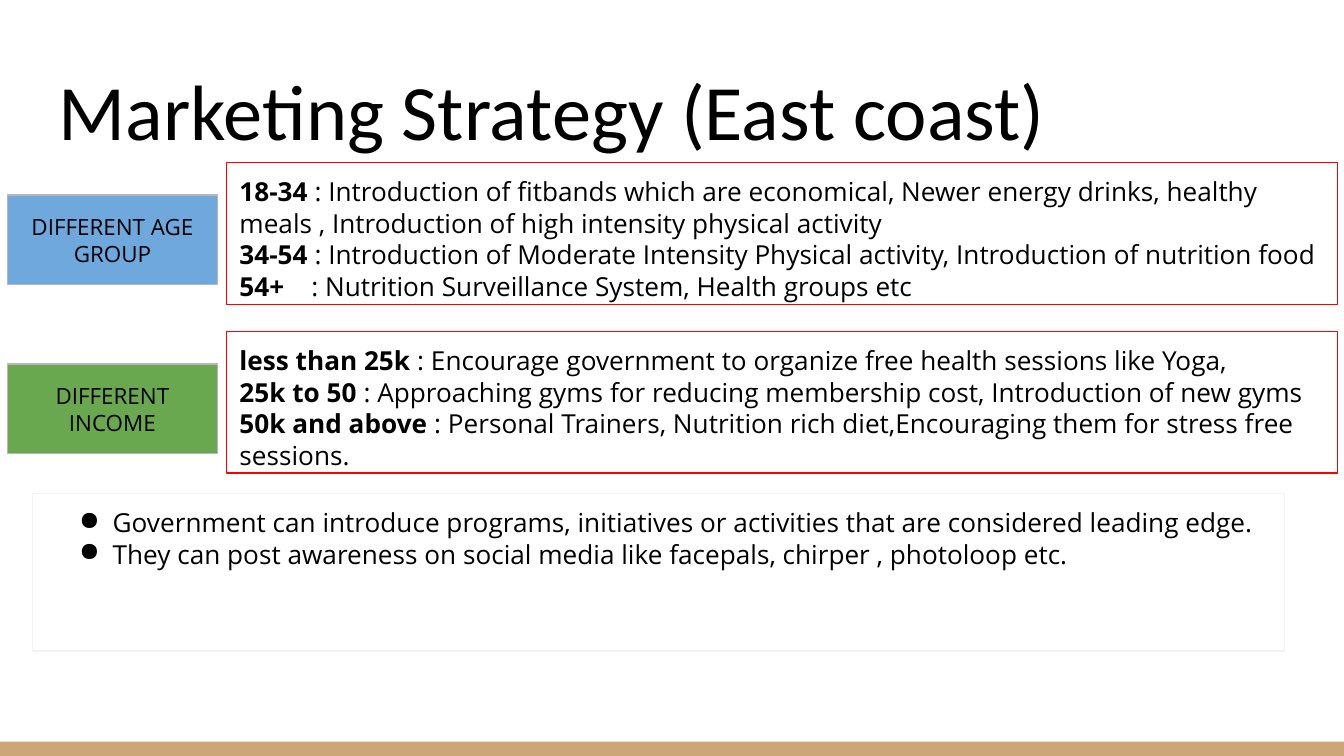
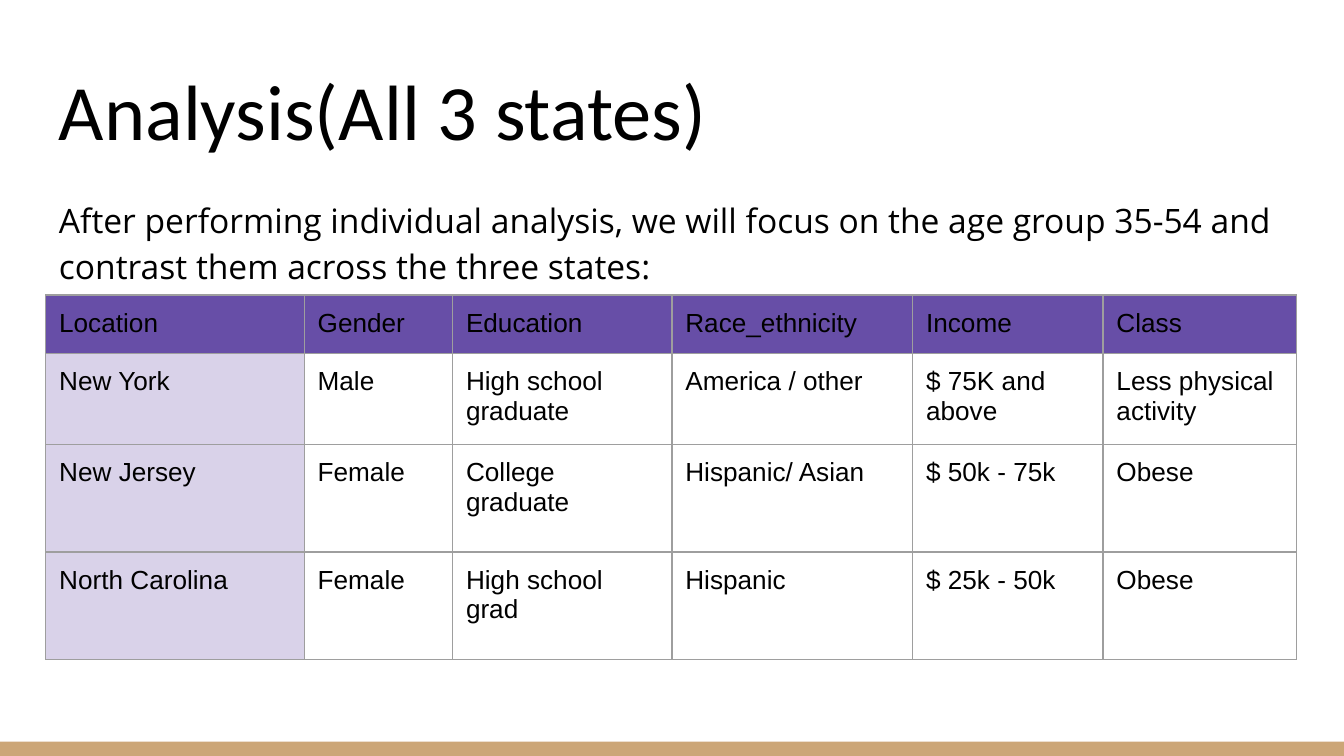
from dataclasses import dataclass

from lxml import etree
from pptx import Presentation
from pptx.dml.color import RGBColor
from pptx.enum import shapes, text
from pptx.oxml import ns
from pptx.util import Pt

STRATEGY_TITLE = "Marketing Strategy (East coast)"
# Label, label fill, then (bold lead, rest) for each line of advice
STRATEGIES = [
    (["DIFFERENT AGE GROUP"], "6FA8DC", [
        ("18-34 ", ": Introduction of fitbands which are economical, Newer energy drinks, "
                   "healthy meals , Introduction of high intensity physical activity"),
        ("34-54", " : Introduction of Moderate Intensity Physical activity, "
                  "Introduction of nutrition food"),
        ("54+\t", ": Nutrition Surveillance System, Health groups etc"),
    ]),
    (["DIFFERENT", "INCOME"], "6AA84F", [
        ("less than 25k", " : Encourage government to organize free health sessions like Yoga,"),
        ("25k to 50 ", ": Approaching gyms for reducing membership cost, "
                       "Introduction of new gyms"),
        ("50k and above", " : Personal Trainers, Nutrition rich diet,"
                          "Encouraging them for stress free sessions."),
    ]),
]
GOVERNMENT_STEPS = [
    "Government can introduce programs, initiatives or activities "
    "that are considered leading edge.",
    "They can post awareness on social media like facepals, chirper , photoloop etc.",
]

ANALYSIS_TITLE = "Analysis(All 3 states)"
ANALYSIS_INTRO = ("After performing individual analysis, we will focus on the age group "
                  "35-54 and contrast them across the three states:")
STATE_ROWS = [
    ("Location", "Gender", "Education", "Race_ethnicity", "Income", "Class"),
    ("New York", "Male", "High school graduate", "America / other", "$ 75K and above",
     "Less physical activity"),
    ("New Jersey", "Female", "College graduate", "Hispanic/ Asian", "$ 50k - 75k", "Obese"),
    ("North Carolina", "Female", "High school grad", "Hispanic", "$ 25k - 50k", "Obese"),
]
COLUMN_WIDTHS = (138.5, 79.5, 117.5, 129, 102, 103.5)
ROW_HEIGHTS = (31.5, 48.75, 57.5, 57.5)


@dataclass(frozen=True)
class Theme:
    ink: str = "000000"
    band: str = "CCA677"
    label_line: str = "B7B7B7"
    advice_line: str = "FF0000"
    steps_line: str = "F3F3F3"
    header: str = "674EA7"
    location: str = "D9D2E9"
    grid: str = "9E9E9E"
    title_font: str = "Calibri"
    body_font: str = "Open Sans"
    table_font: str = "Arial"
    title_size: float = 42
    intro_size: float = 18
    body_size: float = 14
    label_size: float = 12
    line_width: float = 0.75
    inset: float = 7.2


THEME = Theme()
SLIDE_SIZE = (720, 405)
BAND_HEIGHT = 7.75
MARGIN = 24.5
CONTENT_WIDTH = SLIDE_SIZE[0] - 2 * MARGIN
STRATEGY_TOP, STRATEGY_STEP = 87, 90.5
ADVICE_LEFT, ADVICE_WIDTH, ADVICE_HEIGHT = 121.25, 595.5, 76
LABEL_LEFT, LABEL_WIDTH, LABEL_HEIGHT = 4, 112.5, 48
LABEL_DROP = 17.5
COLON_TAB = 38.5


def color(value):
    return RGBColor.from_string(value)


def style_text(paragraphs, size, font=THEME.body_font):
    for para in paragraphs:
        for span in para.runs:
            span.font.size = Pt(size)
            span.font.name = font
            span.font.color.rgb = color(THEME.ink)


def prepare_frame(frame, anchor):
    frame.word_wrap = True
    frame.vertical_anchor = anchor
    for side in ("left", "top", "right", "bottom"):
        setattr(frame, f"margin_{side}", Pt(THEME.inset))


def add_text(slide, place, words, size, font=THEME.body_font, anchor=text.MSO_ANCHOR.TOP):
    box = slide.shapes.add_textbox(*map(Pt, place))
    prepare_frame(box.text_frame, anchor)
    box.text_frame.text = words
    style_text(box.text_frame.paragraphs, size, font)
    return box


def add_box(slide, place, fill=None, line=None, anchor=text.MSO_ANCHOR.TOP):
    box = slide.shapes.add_shape(shapes.MSO_SHAPE.RECTANGLE, *map(Pt, place))
    box.shadow.inherit = False
    if fill:
        box.fill.solid()
        box.fill.fore_color.rgb = color(fill)
    else:
        box.fill.background()
    if line:
        box.line.color.rgb = color(line)
        box.line.width = Pt(THEME.line_width)
    else:
        box.line.fill.background()
    prepare_frame(box.text_frame, anchor)
    return box


def align(paragraphs, alignment):
    for para in paragraphs:
        para.alignment = alignment


def add_tab_stop(para, position):
    tabs = etree.SubElement(para._p.get_or_add_pPr(), ns.qn("a:tabLst"))
    etree.SubElement(tabs, ns.qn("a:tab"), pos=str(Pt(position)), algn="l")


def add_bullet(para):
    props = para._p.get_or_add_pPr()
    props.set("marL", str(Pt(36)))
    props.set("indent", str(Pt(-18)))
    etree.SubElement(props, ns.qn("a:buChar"), char="●")


def add_page(deck, title):
    """Add a slide with the shared white ground, bottom band and title."""
    page = deck.slides.add_slide(deck.slide_layouts[6])
    width, height = SLIDE_SIZE
    add_box(page, (0, height - BAND_HEIGHT, width, BAND_HEIGHT), THEME.band)
    add_text(page, (MARGIN, 25, CONTENT_WIDTH, 65.75), title, THEME.title_size,
             THEME.title_font, text.MSO_ANCHOR.BOTTOM)
    return page


def add_strategy(page, top, label, fill, advice):
    label_box = add_box(page, (LABEL_LEFT, top + LABEL_DROP, LABEL_WIDTH, LABEL_HEIGHT),
                        fill, THEME.label_line, text.MSO_ANCHOR.MIDDLE)
    label_box.text_frame.text = "\n".join(label)
    paragraphs = label_box.text_frame.paragraphs
    style_text(paragraphs, THEME.label_size)
    align(paragraphs, text.PP_ALIGN.CENTER)

    advice_box = add_box(page, (ADVICE_LEFT, top, ADVICE_WIDTH, ADVICE_HEIGHT),
                         line=THEME.advice_line)
    frame = advice_box.text_frame
    frame.text = "\n".join(lead for lead, rest in advice)
    for para, (lead, rest) in zip(frame.paragraphs, advice):
        para.runs[0].font.bold = True
        para.add_run().text = rest
        if "\t" in lead:
            add_tab_stop(para, COLON_TAB)
    style_text(frame.paragraphs, THEME.body_size)
    align(frame.paragraphs, text.PP_ALIGN.LEFT)


def add_steps(page):
    box = add_box(page, (17.25, 264.25, CONTENT_WIDTH, 84.5), line=THEME.steps_line)
    box.text_frame.text = "\n".join(GOVERNMENT_STEPS)
    paragraphs = box.text_frame.paragraphs
    align(paragraphs, text.PP_ALIGN.LEFT)
    for para in paragraphs:
        add_bullet(para)
    style_text(paragraphs, THEME.body_size)


def add_borders(cell):
    props = cell._tc.get_or_add_tcPr()
    for index, side in enumerate(("lnL", "lnR", "lnT", "lnB")):
        line = etree.Element(ns.qn(f"a:{side}"), w=str(Pt(THEME.line_width)))
        fill = etree.SubElement(line, ns.qn("a:solidFill"))
        etree.SubElement(fill, ns.qn("a:srgbClr"), val=THEME.grid)
        props.insert(index, line)


def add_state_table(page):
    place = (MARGIN, 158, sum(COLUMN_WIDTHS), sum(ROW_HEIGHTS))
    table = page.shapes.add_table(len(STATE_ROWS), len(COLUMN_WIDTHS), *map(Pt, place)).table
    table.first_row = table.horz_banding = False
    for column, width in zip(table.columns, COLUMN_WIDTHS):
        column.width = Pt(width)
    for row, height in zip(table.rows, ROW_HEIGHTS):
        row.height = Pt(height)
    for r, values in enumerate(STATE_ROWS):
        for c, value in enumerate(values):
            cell = table.cell(r, c)
            cell.text_frame.text = value
            style_text(cell.text_frame.paragraphs, THEME.body_size, THEME.table_font)
            for side in ("left", "top", "right", "bottom"):
                setattr(cell, f"margin_{side}", Pt(THEME.inset))
            if r == 0 or c == 0:
                cell.fill.solid()
                cell.fill.fore_color.rgb = color(THEME.header if r == 0 else THEME.location)
            else:
                cell.fill.background()
            add_borders(cell)


def build_strategy(deck):
    page = add_page(deck, STRATEGY_TITLE)
    for index, strategy in enumerate(STRATEGIES):
        add_strategy(page, STRATEGY_TOP + index * STRATEGY_STEP, *strategy)
    add_steps(page)


def build_analysis(deck):
    page = add_page(deck, ANALYSIS_TITLE)
    intro = add_text(page, (MARGIN, 96.5, CONTENT_WIDTH, 264.25), ANALYSIS_INTRO,
                     THEME.intro_size)
    para = intro.text_frame.paragraphs[0]
    para.line_spacing = 1.15
    para.space_after = Pt(16)
    add_state_table(page)


def main():
    deck = Presentation()
    deck.slide_width, deck.slide_height = map(Pt, SLIDE_SIZE)
    build_strategy(deck)
    build_analysis(deck)
    deck.save("out.pptx")


if __name__ == "__main__":
    main()
